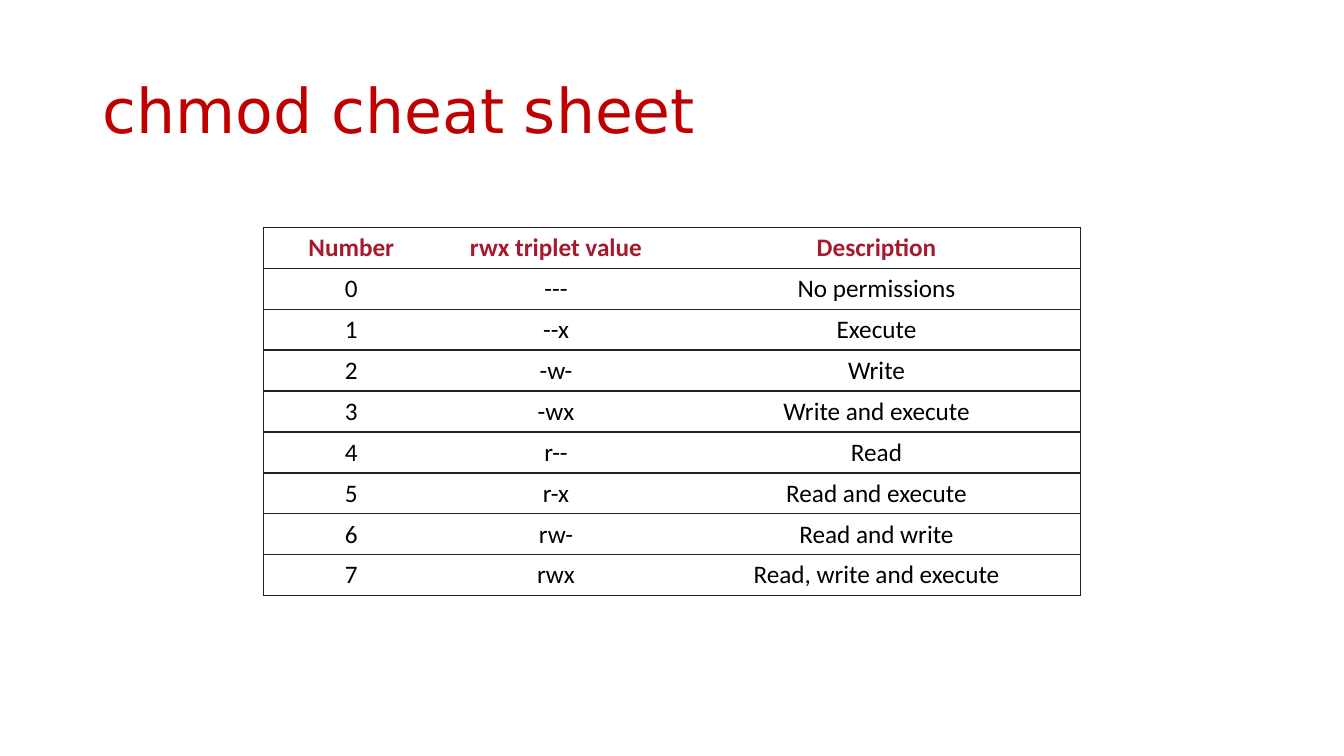
import pptx
import pptx.dml.color
import pptx.enum.text
import pptx.oxml
import pptx.oxml.ns
import pptx.util

COLORS = {"title": "C00000", "header": "A6192E", "body": "000000",
          "border": "222222", "cell": "FFFFFF"}
ROWS = [
    ("Number", "rwx triplet value", "Description"),
    ("0", "---", "No permissions"),
    ("1", "--x", "Execute"),
    ("2", "-w-", "Write"),
    ("3", "-wx", "Write and execute"),
    ("4", "r--", "Read"),
    ("5", "r-x", "Read and execute"),
    ("6", "rw-", "Read and write"),
    ("7", "rwx", "Read, write and execute"),
]
COLUMN_SHARES = [13.05, 17.4, 30.3]
ROW_SHARE = 5.42

deck = pptx.Presentation()
deck.slide_width = pptx.util.Inches(13.33)
deck.slide_height = pptx.util.Inches(7.5)
page = deck.slides.add_slide(deck.slide_layouts[6])


def share(percent, total):
    return round(total * percent / 100)


def style_font(font, name, size, color, bold=False):
    font.name = name
    font.size = pptx.util.Pt(size)
    font.bold = bold
    font.color.rgb = pptx.dml.color.RGBColor.from_string(COLORS[color])


title = page.shapes.add_textbox(
    share(6.9, deck.slide_width), share(5.33, deck.slide_height),
    share(86.27, deck.slide_width), share(19.33, deck.slide_height))
frame = title.text_frame
frame.word_wrap = True
frame.vertical_anchor = pptx.enum.text.MSO_ANCHOR.MIDDLE
frame.text = "chmod cheat sheet"
frame.paragraphs[0].line_spacing = 0.9
style_font(frame.paragraphs[0].runs[0].font, "DejaVu Sans", 44, "title")

table = page.shapes.add_table(
    len(ROWS), len(COLUMN_SHARES),
    share(19.62, deck.slide_width), share(30.05, deck.slide_height),
    share(sum(COLUMN_SHARES), deck.slide_width),
    share(ROW_SHARE * len(ROWS), deck.slide_height)).table
table.first_row = False
table.horz_banding = False
for column, width in zip(table.columns, COLUMN_SHARES):
    column.width = share(width, deck.slide_width)

for row_index, values in enumerate(ROWS):
    table.rows[row_index].height = share(ROW_SHARE, deck.slide_height)
    for column_index, value in enumerate(values):
        cell = table.cell(row_index, column_index)
        cell.text = value
        cell.vertical_anchor = pptx.enum.text.MSO_ANCHOR.MIDDLE
        para = cell.text_frame.paragraphs[0]
        para.alignment = pptx.enum.text.PP_ALIGN.CENTER
        header = row_index == 0
        style_font(para.runs[0].font, "Calibri", 18,
                   "header" if header else "body", header)
        drawn_sides = ("LTB", "TB", "RTB")[column_index]
        properties = cell._tc.get_or_add_tcPr()
        for side in "LRTB":
            line = (f'<a:solidFill><a:srgbClr val="{COLORS["border"]}"/></a:solidFill>'
                    if side in drawn_sides else "<a:noFill/>")
            properties.append(pptx.oxml.parse_xml(
                f'<a:ln{side} {pptx.oxml.ns.nsdecls("a")} w="{pptx.util.Pt(1)}">'
                f'{line}</a:ln{side}>'))
        cell.fill.solid()
        cell.fill.fore_color.rgb = pptx.dml.color.RGBColor.from_string(COLORS["cell"])

deck.save("out.pptx")
